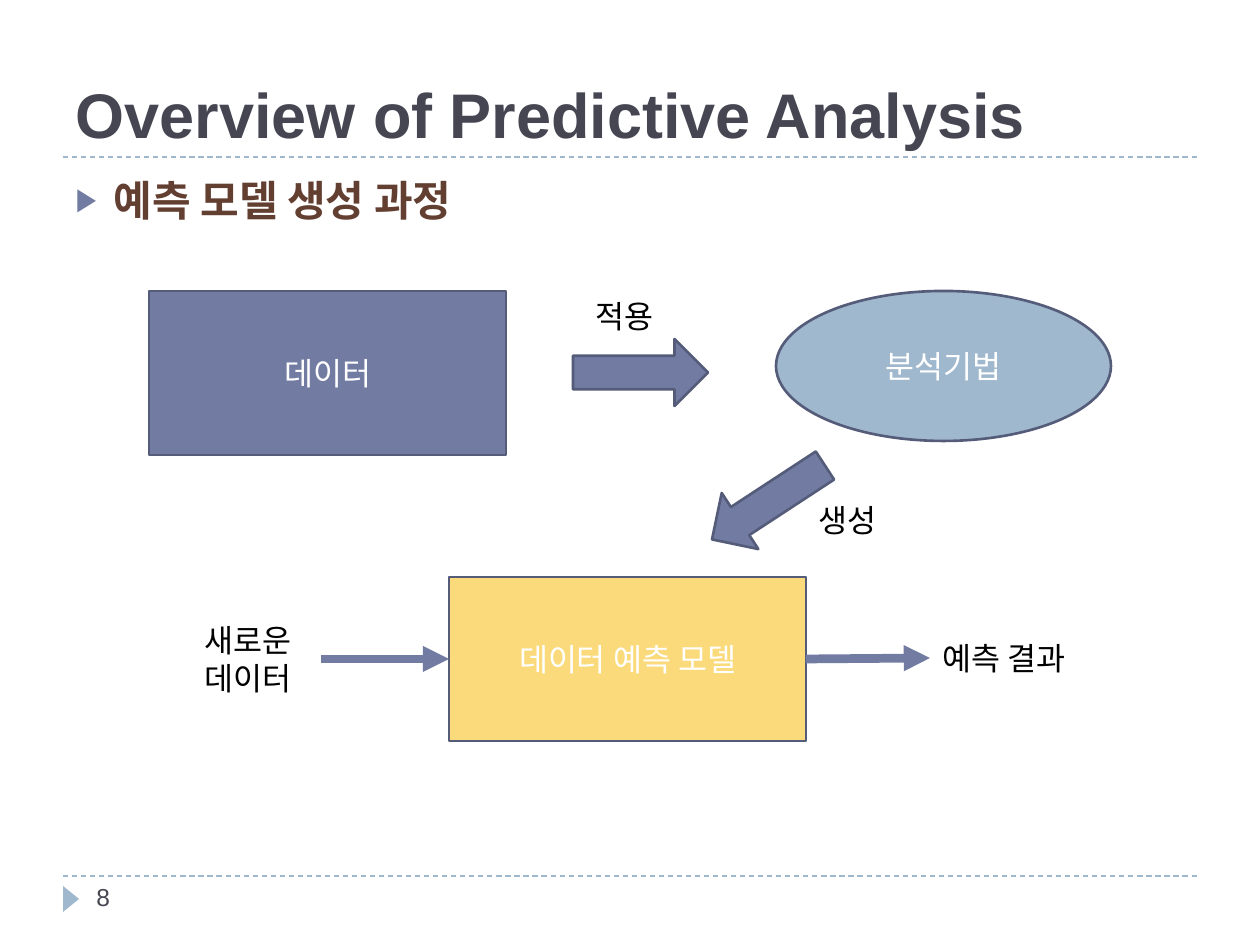
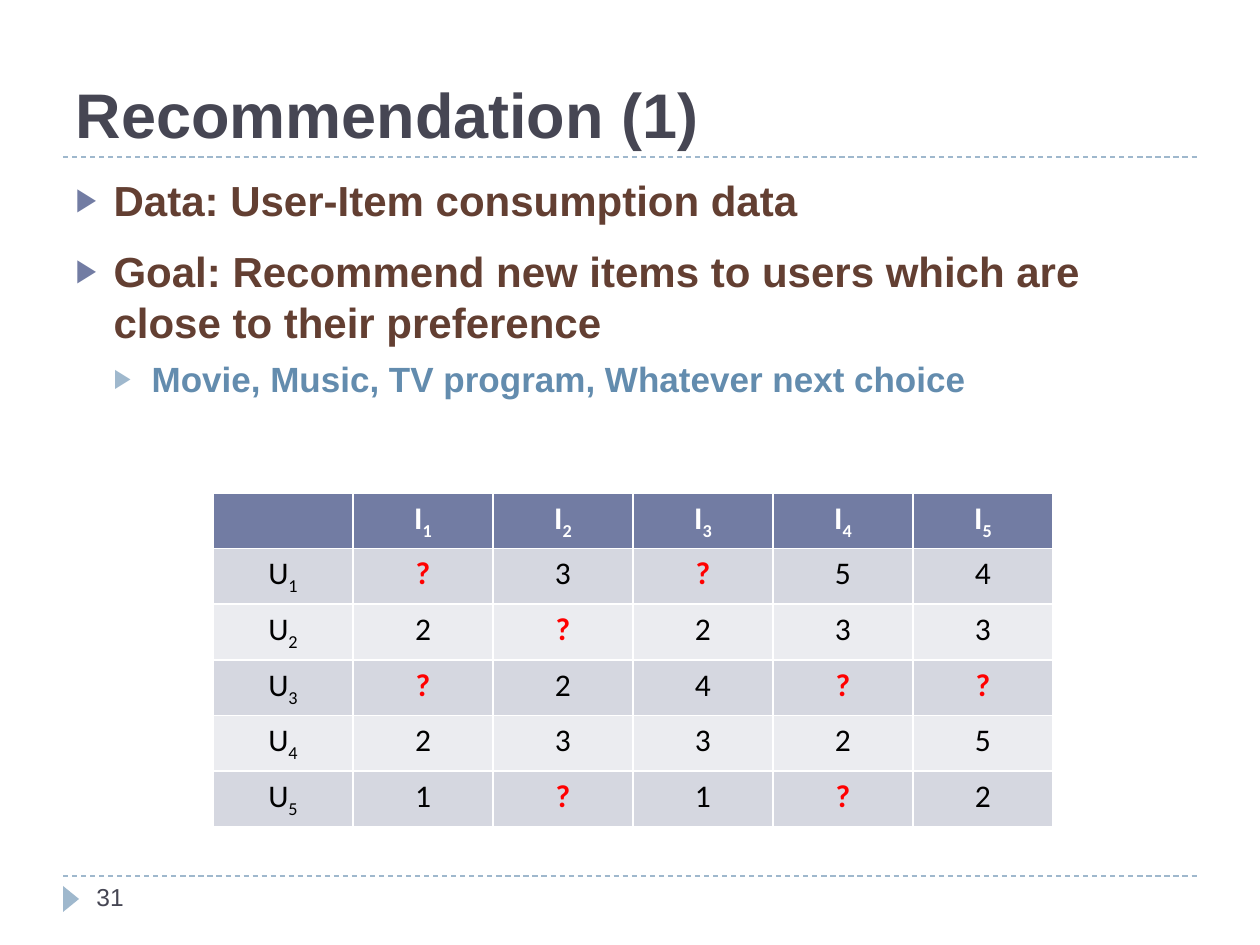
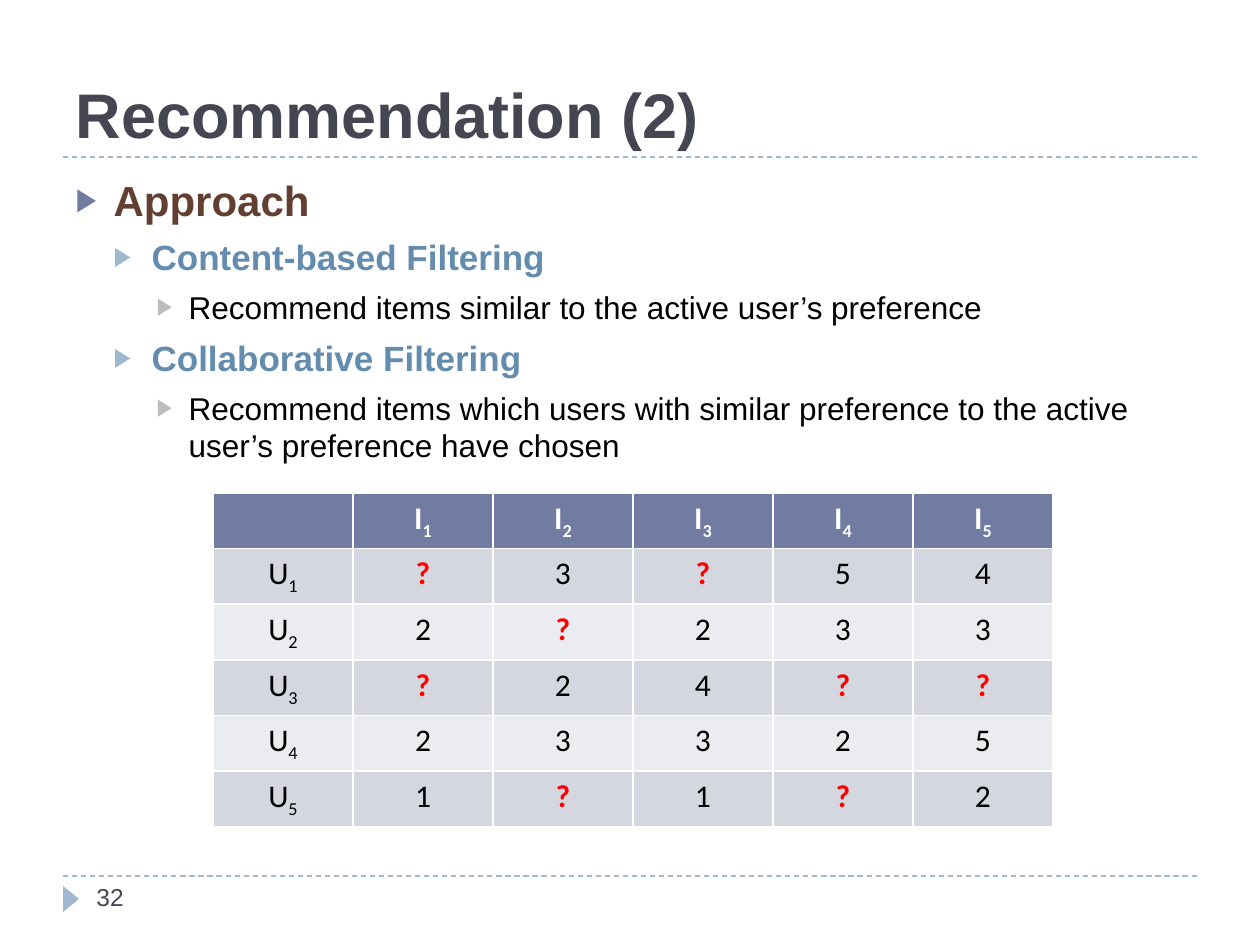
from lxml import etree
from pptx import Presentation
from pptx import util as u
from pptx.dml.color import RGBColor
from pptx.enum import dml, shapes, text
from pptx.oxml import ns

INDIGO = RGBColor(0x72, 0x7C, 0xA3)
INDIGO_EDGE = RGBColor(0x54, 0x5C, 0x79)
SKY = RGBColor(0x9F, 0xB8, 0xCD)
STEEL = RGBColor(0x63, 0x8C, 0xAE)
BROWN = RGBColor(0x63, 0x3F, 0x32)
SLATE = RGBColor(0x46, 0x46, 0x53)
YELLOW = RGBColor(0xFA, 0xDA, 0x7A)
SILVER = RGBColor(0xBD, 0xBD, 0xBD)
ROW_DARK = RGBColor(0xD5, 0xD7, 0xE0)
ROW_LIGHT = RGBColor(0xEB, 0xEC, 0xF0)
RED = RGBColor(0xFF, 0, 0)
WHITE = RGBColor(0xFF, 0xFF, 0xFF)
BLACK = RGBColor(0, 0, 0)

HEADING, BODY = "Arial", "Calibri"
KIND = shapes.MSO_SHAPE

PAGES = [
    {"title": "Overview of Predictive Analysis", "number": 8,
     "points": [(0, "예측 모델 생성 과정")]},
    {"title": "Recommendation (1)", "number": 31,
     "points": [(0, "Data: User-Item consumption data"),
                (0, "Goal: Recommend new items to users which are close to their preference"),
                (1, "Movie, Music, TV program, Whatever next choice")]},
    {"title": "Recommendation (2)", "number": 32,
     "points": [(0, "Approach"),
                (1, "Content-based Filtering"),
                (2, "Recommend items similar to the active user’s preference"),
                (1, "Collaborative Filtering"),
                (2, "Recommend items which users with similar preference to the active "
                    "user’s preference have chosen")]},
]

RATINGS = ["?3?54", "2?233", "?24??", "23325", "1?1?2"]

LEVELS = [
    {"margin": 38, "hang": 38, "before": 12, "bullet": INDIGO, "size": 24, "color": BROWN, "bold": True},
    {"margin": 76, "hang": 38, "before": 6, "bullet": SKY, "size": 20, "color": STEEL, "bold": True},
    {"margin": 113, "hang": 32, "before": 6, "bullet": SILVER, "size": 18, "color": BLACK, "bold": False},
]

FLOW_SHAPES = [
    (KIND.RECTANGLE, (149, 291, 357, 164), 0, INDIGO, "데이터"),
    (KIND.RIGHT_ARROW, (573, 339, 135, 67), 0, INDIGO, ""),
    (KIND.OVAL, (776, 291, 335, 150), 0, SKY, "분석기법"),
    (KIND.RIGHT_ARROW, (701, 469, 135, 67), 146.8, INDIGO, ""),
]
MODEL = (KIND.RECTANGLE, (449, 577, 357, 164), 0, YELLOW, "데이터 예측 모델")
FLOW_LABELS = [
    ((583, 291, 89, 50), ["적용"], False),
    ((806, 495, 89, 50), ["생성"], False),
    ((192, 615, 129, 89), ["새로운", "데이터"], True),
    ((930, 633, 161, 50), ["예측 결과"], False),
]


def px(count):
    return round(count * u.Inches(1) / 126)


def place(box):
    return [px(length) for length in box]


def add_span(para, words, font, size, color, bold=False):
    span = para.add_run()
    span.text = words
    span.font.name = font
    span.font.size = u.Pt(size)
    span.font.bold = bold
    span.font.color.rgb = color
    return span


def add_line(page, start, end, color, width):
    line = page.shapes.add_connector(
        shapes.MSO_CONNECTOR.STRAIGHT, *place(start), *place(end))
    line.line.color.rgb = color
    line.line.width = u.Pt(width)
    etree.SubElement(line._element.spPr, ns.qn("a:effectLst"))
    return line


def add_figure(page, kind, box, turn, fill, words=""):
    figure = page.shapes.add_shape(kind, *place(box))
    figure.rotation = turn
    figure.shadow.inherit = False
    figure.fill.solid()
    figure.fill.fore_color.rgb = fill
    figure.line.color.rgb = INDIGO_EDGE
    figure.line.width = u.Pt(1.5)
    if words:
        figure.text_frame.vertical_anchor = text.MSO_ANCHOR.MIDDLE
        para = figure.text_frame.paragraphs[0]
        para.alignment = text.PP_ALIGN.CENTER
        add_span(para, words, BODY, 18, WHITE)
    return figure


def prepare_layout(layout):
    boxes = {0: (63, 21, 1134, 136), 1: (63, 168, 1134, 680)}
    for holder in list(layout.placeholders):
        index = holder.placeholder_format.idx
        if index not in boxes:
            holder.element.getparent().remove(holder.element)
            continue
        holder.left, holder.top, holder.width, holder.height = place(boxes[index])
        holder.text_frame.auto_size = text.MSO_AUTO_SIZE.NONE
        holder.text_frame.vertical_anchor = (
            text.MSO_ANCHOR.TOP if index else text.MSO_ANCHOR.BOTTOM)


def decorate_layout(layout, page):
    rules = [add_line(page, (63, y), (1197, y), SKY, 0.75) for y in (876, 157)]
    for rule in rules:
        rule.line.dash_style = dml.MSO_LINE.DASH
    marker = add_figure(page, KIND.ISOSCELES_TRIANGLE, (58, 891, 26, 16), 90, SKY)
    marker.line.fill.background()
    for part in [*rules, marker]:
        layout.shapes.element.append(part.element)


def add_bullet(para, style):
    props = para._p.get_or_add_pPr()
    props.set("marL", str(px(style["margin"])))
    props.set("indent", str(-px(style["hang"])))
    color = etree.SubElement(props, ns.qn("a:buClr"))
    etree.SubElement(color, ns.qn("a:srgbClr"), val=str(style["bullet"]))
    etree.SubElement(props, ns.qn("a:buSzPct"), val="76000")
    etree.SubElement(props, ns.qn("a:buFont"), typeface=HEADING)
    etree.SubElement(props, ns.qn("a:buChar"), char="▶")


def fill_page(page, content):
    para = page.shapes.title.text_frame.paragraphs[0]
    para.alignment = text.PP_ALIGN.LEFT
    add_span(para, content["title"], HEADING, 36, SLATE, True)

    frame = page.placeholders[1].text_frame
    for order, (level, words) in enumerate(content["points"]):
        para = frame.add_paragraph() if order else frame.paragraphs[0]
        style = LEVELS[level]
        para.level = level
        para.space_before = u.Pt(style["before"])
        add_bullet(para, style)
        add_span(para, words, HEADING, style["size"], style["color"], style["bold"])

    number = page.shapes.add_textbox(*place((84, 876, 273, 50)))
    add_span(number.text_frame.paragraphs[0], str(content["number"]), HEADING, 14, SLATE)


def add_flow(page):
    for figure in FLOW_SHAPES:
        add_figure(page, *figure)
    model = add_figure(page, *MODEL)

    for box, lines, wraps in FLOW_LABELS:
        frame = page.shapes.add_textbox(*place(box)).text_frame
        frame.word_wrap = wraps
        frame.auto_size = text.MSO_AUTO_SIZE.SHAPE_TO_FIT_TEXT
        for order, words in enumerate(lines):
            para = frame.add_paragraph() if order else frame.paragraphs[0]
            add_span(para, words, BODY, 18, BLACK)

    inflow = add_line(page, (321, 659), (449, 659), INDIGO, 5)
    inflow.end_connect(model, 1)
    outflow = add_line(page, (806, 659), (930, 658), INDIGO, 5)
    outflow.begin_connect(model, 3)
    for arrow in (inflow, outflow):
        etree.SubElement(arrow.line._get_or_add_ln(), ns.qn("a:tailEnd"), type="triangle")


def fill_cell(cell, words, fill, color, bold):
    cell.fill.solid()
    cell.fill.fore_color.rgb = fill
    para = cell.text_frame.paragraphs[0]
    para.alignment = text.PP_ALIGN.CENTER
    if words:
        add_span(para, words[0], BODY, 18, color, bold)
    if words[1:]:
        index = add_span(para, words[1:], BODY, 18, color, bold)
        index._r.get_or_add_rPr().set("baseline", "-25000")


def add_ratings(page):
    header = [""] + [f"I{item}" for item in range(1, 6)]
    rows = [header] + [[f"U{user}", *marks] for user, marks in enumerate(RATINGS, 1)]
    size = len(rows)
    table = page.shapes.add_table(size, size, *place((213, 493, 140 * size, 51 * size))).table
    for r, row in enumerate(rows):
        for c, words in enumerate(row):
            if r == 0:
                look = INDIGO, WHITE, True
            else:
                unknown = words == "?"
                look = (ROW_DARK if r % 2 else ROW_LIGHT), (RED if unknown else BLACK), unknown
            fill_cell(table.cell(r, c), words, *look)


def main():
    deck = Presentation()
    deck.slide_width, deck.slide_height = place((1260, 945))
    layout = deck.slide_layouts[1]
    prepare_layout(layout)
    pages = [deck.slides.add_slide(layout) for _ in PAGES]
    decorate_layout(layout, pages[0])
    for page, content in zip(pages, PAGES):
        fill_page(page, content)
    add_flow(pages[0])
    for page in pages[1:]:
        add_ratings(page)
    deck.save("out.pptx")


if __name__ == "__main__":
    main()
